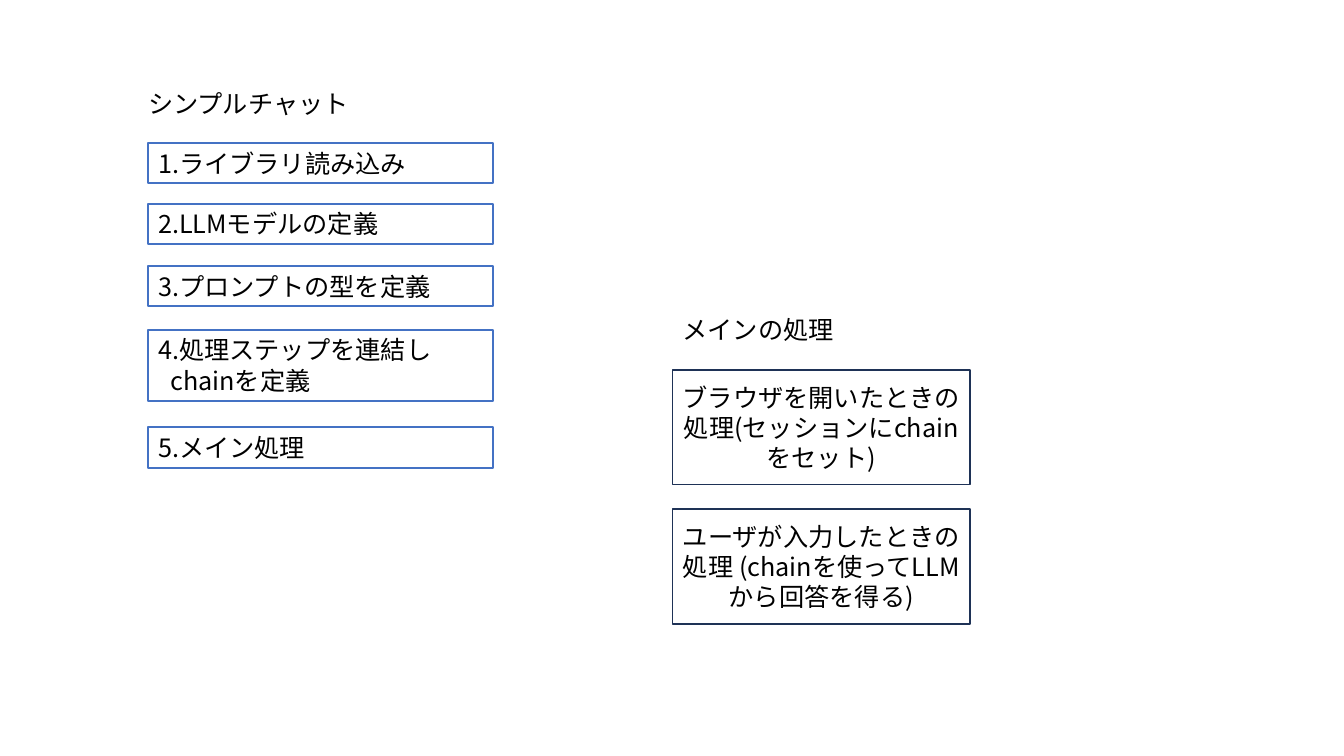
"""Builds a slide outlining the steps of a simple chat program."""
import pptx
import pptx.dml.color
import pptx.enum.shapes
import pptx.enum.text
import pptx.oxml.ns
import pptx.util
from lxml import etree

Inches = pptx.util.Inches
PP_ALIGN = pptx.enum.text.PP_ALIGN
MSO_ANCHOR = pptx.enum.text.MSO_ANCHOR

FONT = "Noto Sans CJK JP"
HEADINGS = [
    ("シンプルチャット", (1.37, 0.83, 3.92, 0.4)),
    ("メインの処理", (6.67, 3.07, 3.34, 0.4)),
]
STEPS = [
    ("1.ライブラリ読み込み", 1.42),
    ("2.LLMモデルの定義", 2.02),
    ("3.プロンプトの型を定義", 2.64),
    ("4.処理ステップを連結し\nchainを定義", 3.27),
    ("5.メイン処理", 4.24),
]
HANDLERS = [
    "ブラウザを開いたときの処理(セッションにchainをセット)",
    "ユーザが入力したときの処理 (chainを使ってLLMから回答を得る)",
]
STEP_LEFT, STEP_WIDTH, STEP_HEIGHT, EXTRA_LINE = 1.47, 3.42, 0.4, 0.31
HANDLER_LEFT, HANDLER_TOP, HANDLER_WIDTH, HANDLER_HEIGHT = 6.67, 3.67, 2.95, 1.14
HANDLER_PITCH = 1.38
CONTINUATION_INDENT = Inches(0.12)


def color(value):
    return pptx.dml.color.RGBColor.from_string(value)


def add_text(slide, text, box, *, line=None, line_width=1, fill=None,
             align=PP_ALIGN.LEFT, anchor=MSO_ANCHOR.TOP, grow=True):
    place = [Inches(length) for length in box]
    if line:
        shape = slide.shapes.add_shape(
            pptx.enum.shapes.MSO_SHAPE.RECTANGLE, *place)
        shape.shadow.inherit = False
        shape.line.color.rgb = color(line)
        shape.line.width = pptx.util.Pt(line_width)
        if fill:
            shape.fill.solid()
            shape.fill.fore_color.rgb = color(fill)
        else:
            shape.fill.background()
    else:
        shape = slide.shapes.add_textbox(*place)
    frame = shape.text_frame
    frame.word_wrap = True
    frame.vertical_anchor = anchor
    sizing = pptx.enum.text.MSO_AUTO_SIZE
    frame.auto_size = sizing.SHAPE_TO_FIT_TEXT if grow else sizing.NONE
    frame.text = text
    for index, paragraph in enumerate(frame.paragraphs):
        paragraph.alignment = align
        if index:
            paragraph._p.get_or_add_pPr().set("marL", str(CONTINUATION_INDENT))
        for run in paragraph.runs:
            run.font.size = pptx.util.Pt(18)
            run.font.name = FONT
            run.font.color.rgb = color("000000")
            east_asian = etree.SubElement(
                run._r.get_or_add_rPr(), pptx.oxml.ns.qn("a:ea"))
            east_asian.set("typeface", FONT)


def main():
    deck = pptx.Presentation()
    deck.slide_width, deck.slide_height = Inches(13.33), Inches(7.5)
    slide = deck.slides.add_slide(deck.slide_layouts[6])
    for step, top in STEPS:
        height = STEP_HEIGHT + EXTRA_LINE * step.count("\n")
        add_text(slide, step, (STEP_LEFT, top, STEP_WIDTH, height),
                 line="4472C4", line_width=1.5)
    for index, handler in enumerate(HANDLERS):
        top = HANDLER_TOP + index * HANDLER_PITCH
        add_text(slide, handler,
                 (HANDLER_LEFT, top, HANDLER_WIDTH, HANDLER_HEIGHT),
                 line="1E3256", fill="FFFFFF", align=PP_ALIGN.CENTER,
                 anchor=MSO_ANCHOR.MIDDLE, grow=False)
    for heading, box in HEADINGS:
        add_text(slide, heading, box)
    deck.save("out.pptx")


if __name__ == "__main__":
    main()
